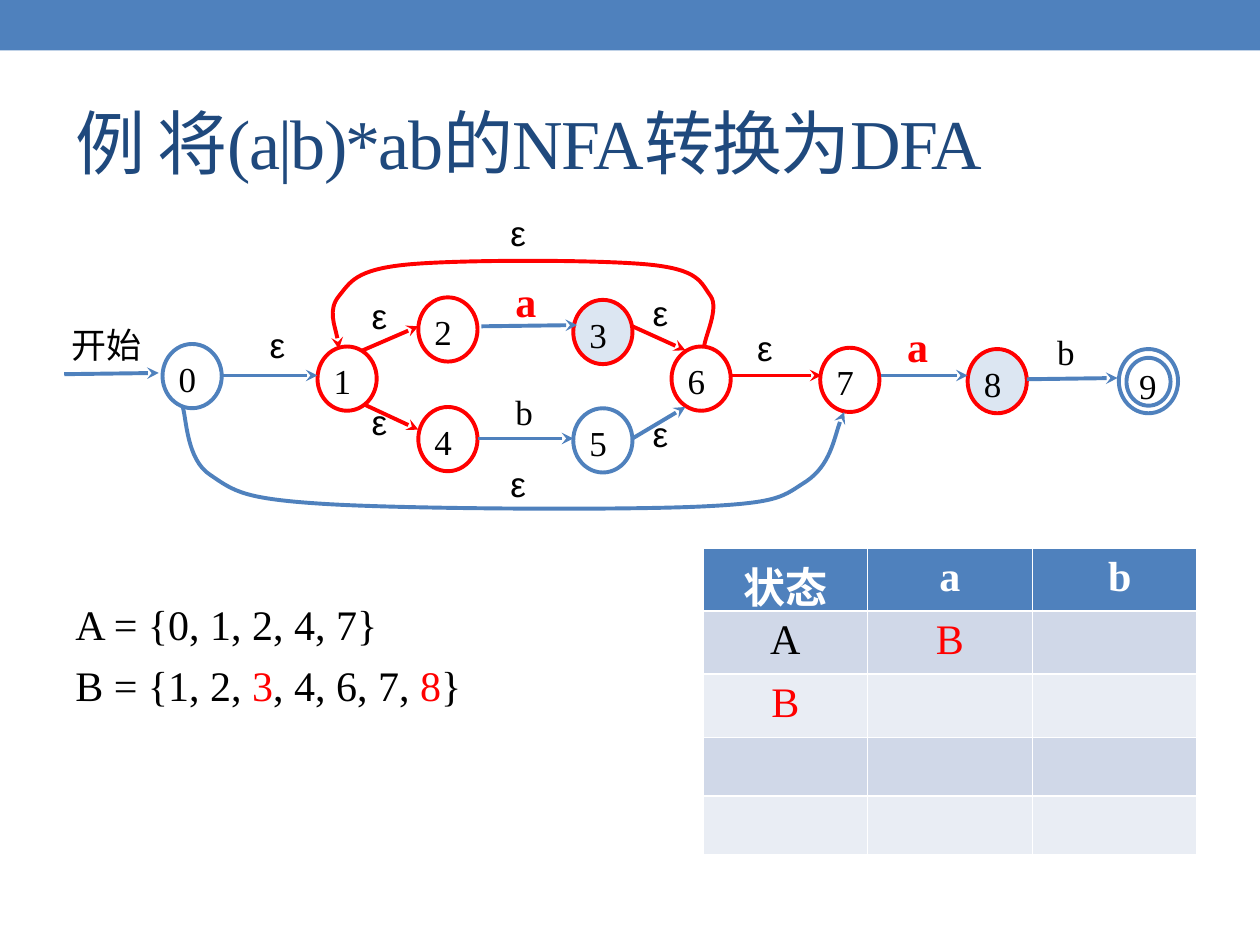
from lxml import etree
from pptx import Presentation
from pptx.dml.color import RGBColor
from pptx.enum.shapes import MSO_CONNECTOR, MSO_SHAPE
from pptx.enum.text import MSO_ANCHOR, PP_ALIGN
from pptx.oxml.ns import qn
from pptx.util import Inches, Pt

LEFT, CENTER = PP_ALIGN.LEFT, PP_ALIGN.CENTER
TOP, MIDDLE = MSO_ANCHOR.TOP, MSO_ANCHOR.MIDDLE
STRAIGHT = MSO_CONNECTOR.STRAIGHT
OVAL, RECTANGLE = MSO_SHAPE.OVAL, MSO_SHAPE.RECTANGLE
BLUE, RED, BLACK, WHITE, PALE = "4F81BD", "FF0000", "000000", "FFFFFF", "DCE6F2"
SERIF, SANS = "Times New Roman", "Arial"


def color(target, value):
    """Paint a fill or a font with a hex colour."""
    if hasattr(target, "solid"):
        target.solid()
        target.fore_color.rgb = RGBColor.from_string(value)
    else:
        target.color.rgb = RGBColor.from_string(value)


def write(frame, text, size=20, font=SERIF, ink=BLACK, bold=False,
          align=LEFT, anchor=TOP, margins=(0.1, 0.05, 0.1, 0.05)):
    """Add a span to the last paragraph of a text frame."""
    frame.word_wrap = True
    frame.vertical_anchor = anchor
    (frame.margin_left, frame.margin_top,
     frame.margin_right, frame.margin_bottom) = map(Inches, margins)
    para = frame.paragraphs[-1]
    para.alignment = align
    span = para.add_run()
    span.text = text
    span.font.size, span.font.name, span.font.bold = Pt(size), font, bold
    color(span.font, ink)
    return span


deck = Presentation()
deck.slide_width, deck.slide_height = Inches(10), Inches(7.5)
page = deck.slides.add_slide(deck.slide_layouts[5])
shapes = page.shapes

# Grid of 100 columns by 75 rows
COL, ROW = deck.slide_width // 100, deck.slide_height // 75

# Top band
band = shapes.add_shape(RECTANGLE, 0, 0, 100 * COL, 4 * ROW)
band.shadow.inherit = False
color(band.fill, BLUE)
band.line.fill.background()

# Title
title = shapes.title
title.left, title.top = 5 * COL, int(5.8 * ROW)
title.width, title.height = 90 * COL, int(10.8 * ROW)
span = write(title.text_frame, "例 将(a|b)*ab的NFA转换为DFA", size=40,
             ink="1F497D", anchor=MIDDLE)
span.font._element.set("spc", "-100")

# State sets
box = shapes.add_textbox(5 * COL, 47 * ROW, 50 * COL, 12 * ROW)
write(box.text_frame, "A = {0, 1, 2, 4, 7}", size=24)
box.text_frame.add_paragraph().space_before = Pt(6)
for text, ink in (("B = {1, 2, ", BLACK), ("3", RED), (", 4, 6, 7, ", BLACK),
                  ("8", RED), ("}", BLACK)):
    write(box.text_frame, text, size=24, ink=ink)

# Transition table
rows = [("状态", "a", " b"), ("A", "B", ""), ("B", "", ""),
        ("", "", ""), ("", "", "")]
table = shapes.add_table(5, 3, int(55.8 * COL), int(43.5 * ROW),
                         int(39.2 * COL), 25 * ROW).table
for column in table.columns:
    column.width = int(39.2 * COL / 3)
for r, texts in enumerate(rows):
    table.rows[r].height = int((5 if r < 3 else 4.65) * ROW)
    for c, text in enumerate(texts):
        cell = table.cell(r, c)
        color(cell.fill, BLUE if r == 0 else ("E9EDF4", "D0D8E8")[r % 2])
        if text:
            ink = WHITE if r == 0 else RED if text == "B" else BLACK
            write(cell.text_frame, text, size=24, ink=ink, bold=r == 0,
                  align=CENTER)

# States: name, left, top, outline, fill, width, height
SIZE = (4.7, 5.1)
states = [
    ("0", 12.9, 27.3, BLUE, None, *SIZE), ("1", 25.2, 27.5, RED, None, *SIZE),
    ("2", 33.2, 23.6, RED, None, *SIZE), ("3", 45.5, 23.8, RED, PALE, *SIZE),
    ("4", 33.2, 32.3, RED, None, *SIZE), ("5", 45.5, 32.4, BLUE, None, *SIZE),
    ("6", 53.3, 27.5, RED, None, *SIZE), ("7", 65.1, 27.6, RED, None, *SIZE),
    ("8", 76.8, 27.7, RED, PALE, *SIZE), ("", 88.8, 27.7, BLUE, None, *SIZE),
    ("9", 89.4, 28.4, BLUE, None, 3.5, 3.8),
]
for name, left, top, outline, fill, width, height in states:
    state = shapes.add_shape(OVAL, int(left * COL), int(top * ROW),
                             int(width * COL), int(height * ROW))
    state.shadow.inherit = False
    if fill:
        color(state.fill, fill)
    else:
        state.fill.background()
    color(state.line.fill, outline)
    state.line.width = Pt(2.25)
    if name:
        inner = name == "9"
        write(state.text_frame, name, margins=(0.05, 0, 0.01, 0) if inner
              else (0.06, 0.03, 0.02, 0.05))

# Straight moves: from, to, colour
moves = [
    (5.1, 29.7, 12.6, 29.6, BLUE), (17.6, 29.8, 25.2, 29.8, BLUE),
    (28.8, 27.8, 33.2, 25.9, RED), (28.9, 32.1, 33.2, 34.1, RED),
    (38.2, 25.9, 45.8, 25.8, BLUE), (37.9, 34.8, 45.5, 34.8, BLUE),
    (50.2, 25.9, 54.4, 27.8, RED), (50.2, 34.8, 54.4, 32.3, BLUE),
    (58, 29.8, 65.2, 29.8, RED), (69.9, 29.8, 76.8, 29.8, BLUE),
    (81.5, 30.1, 88.7, 30, BLUE),
]
arrows = []
for x1, y1, x2, y2, ink in moves:
    arrows.append((shapes.add_connector(
        STRAIGHT, int(x1 * COL), int(y1 * ROW), int(x2 * COL), int(y2 * ROW)), ink))

# Curved moves: a start, then three Bezier points a piece, in tenths of a column
skip_loop = [(145, 323), (148, 332), (148, 365), (167, 377),
             (186, 390), (193, 396), (258, 400), (323, 404), (493, 405), (557, 402),
             (620, 399), (621, 394), (640, 382), (659, 369), (664, 338), (670, 327)]
repeat_loop = [(559, 275), (559, 268), (571, 245), (564, 235),
               (556, 224), (555, 214), (515, 210), (474, 206), (364, 206), (323, 210),
               (282, 214), (278, 224), (269, 235), (260, 246), (269, 268), (269, 277)]
for points, ink in ((skip_loop, BLUE), (repeat_loop, RED)):
    builder = shapes.build_freeform(*points[0], scale=COL / 10)
    builder.add_line_segments(points[1:], close=False)
    curve = builder.convert_to_shape()
    curve.fill.background()
    outline = next(curve.element.iter(qn("a:path")))
    segments = outline.findall(qn("a:lnTo"))
    for i in range(0, len(segments), 3):
        bezier = etree.SubElement(outline, qn("a:cubicBezTo"))
        for segment in segments[i:i + 3]:
            bezier.append(segment[0])
            outline.remove(segment)
    arrows.append((curve, ink))

# Strokes and arrowheads
for arrow, ink in arrows:
    color(arrow.line.fill, ink)
    arrow.line.width = Pt(2.25)
    properties = arrow.element.spPr
    etree.SubElement(properties.find(qn("a:ln")), qn("a:tailEnd"), type="stealth")
    etree.SubElement(properties, qn("a:effectLst"))

# Move labels
labels = [
    ("开始", 5.1, 25.4), ("ε", 20.8, 25.4), ("ε", 28.9, 23.1), ("ε", 28.9, 31.5),
    ("a", 40.3, 21.6), ("b", 40.3, 30.7), ("ε", 51.2, 22.8), ("ε", 51.2, 32.4),
    ("ε", 39.9, 16.5), ("ε", 39.9, 36.4), ("ε", 59.5, 25.6), ("a", 71.4, 25.1),
    ("b", 83.3, 25.9),
]
for text, left, top in labels:
    box = shapes.add_textbox(int(left * COL), int(top * ROW),
                             int((7.6 if len(text) > 1 else 4.2) * COL), int(4.1 * ROW))
    read = text == "a"
    write(box.text_frame, text, size=24 if read else 20, bold=read,
          ink=RED if read else BLACK, font=SANS if text == "ε" else SERIF,
          margins=(0.06, 0.03, 0.06, 0.03))

deck.save("out.pptx")
